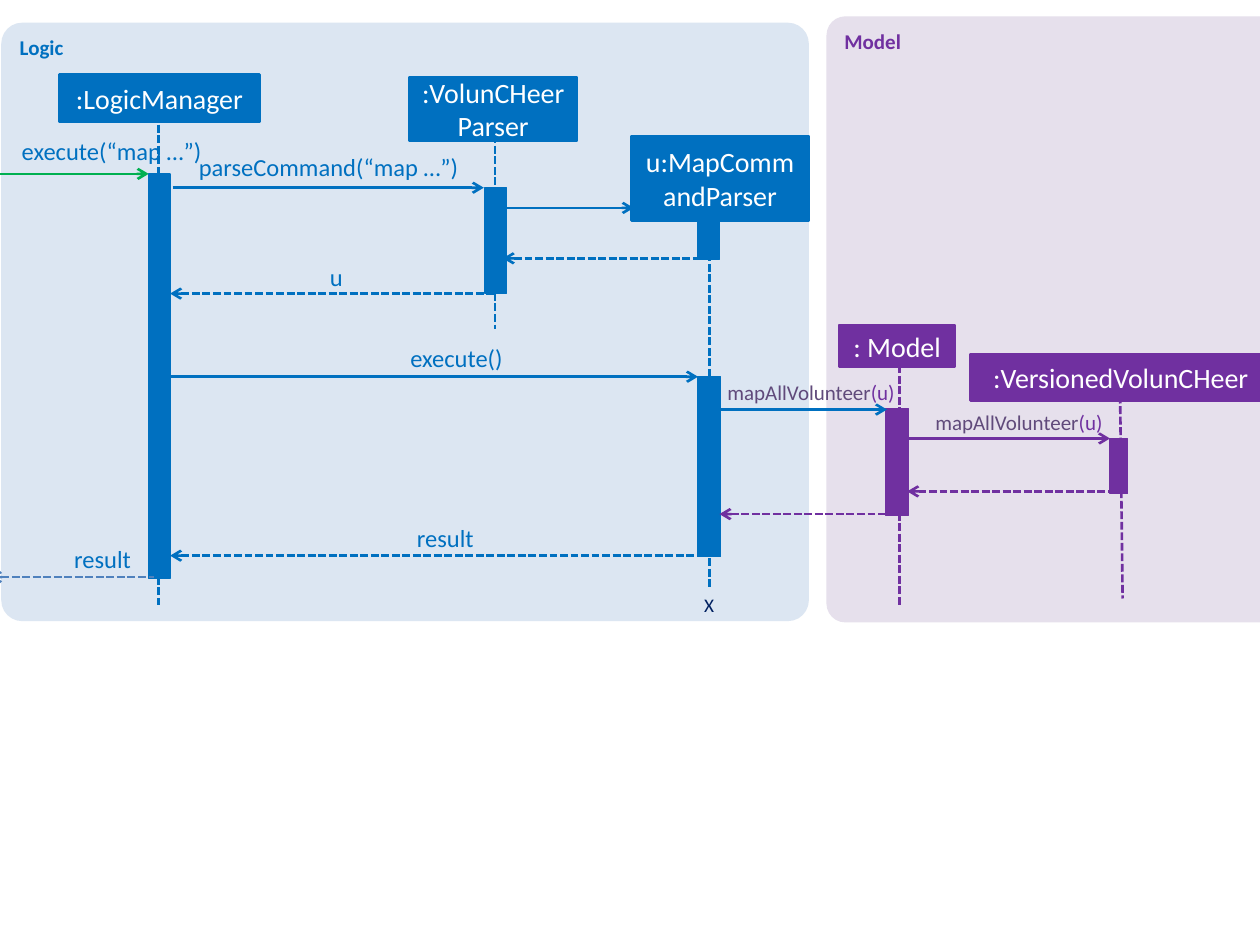
from lxml import etree
from pptx import Presentation
from pptx.dml.color import RGBColor
from pptx.enum.dml import MSO_LINE
from pptx.enum.shapes import MSO_CONNECTOR, MSO_SHAPE
from pptx.enum.text import MSO_ANCHOR, MSO_AUTO_SIZE, PP_ALIGN
from pptx.oxml.ns import qn
from pptx.util import Inches, Pt

RECT, ROUNDED = MSO_SHAPE.RECTANGLE, MSO_SHAPE.ROUNDED_RECTANGLE
STRAIGHT, DASHED = MSO_CONNECTOR.STRAIGHT, MSO_LINE.SQUARE_DOT
LEFT, CENTER, RIGHT = PP_ALIGN.LEFT, PP_ALIGN.CENTER, PP_ALIGN.RIGHT
TOP, MIDDLE = MSO_ANCHOR.TOP, MSO_ANCHOR.MIDDLE
FIT = MSO_AUTO_SIZE.SHAPE_TO_FIT_TEXT

COLORS = {
    "logic": "0070C0", "logic_panel": "DCE6F2",
    "model": "7030A0", "model_panel": "E6E0EC",
    "caller": "00B050", "outgoing": "4F81BD",
    "call_name": "604A7B", "end_mark": "002060", "white": "FFFFFF",
}
FORMATS = {
    "panel": {"word_wrap": True, "vertical_anchor": TOP},
    "head": {"word_wrap": True, "vertical_anchor": MIDDLE},
    "label": {"word_wrap": True, "vertical_anchor": TOP, "auto_size": FIT,
              "margin_left": 0, "margin_right": 0, "margin_top": 0, "margin_bottom": 0},
    "end_mark": {"word_wrap": False, "auto_size": FIT},
}


class SequenceDiagram:
    font = "Calibri"
    columns = 100

    def __init__(self, deck):
        self.slide = deck.slides.add_slide(deck.slide_layouts[6])
        self.cell = deck.slide_width / self.columns

    def grid(self, *lengths):
        return [round(length * self.cell) for length in lengths]

    def color(self, name):
        return RGBColor.from_string(COLORS[name])

    def set_text(self, shape, runs, size, align, style, bold=False):
        frame = shape.text_frame
        for name, value in FORMATS[style].items():
            setattr(frame, name, value)
        paragraph = frame.paragraphs[0]
        paragraph.alignment = align
        for text, color in runs:
            run = paragraph.add_run()
            run.text = text
            font = {"name": self.font, "size": Pt(size), "bold": bold}
            for name, value in font.items():
                setattr(run.font, name, value)
            run.font.color.rgb = self.color(color)

    def block(self, kind, area, fill, outline=0):
        shape = self.slide.shapes.add_shape(kind, *self.grid(*area))
        shape.shadow.inherit = False
        shape.fill.solid()
        shape.fill.fore_color.rgb = self.color(fill)
        if outline:
            shape.line.color.rgb = self.color(fill)
            shape.line.width = Pt(outline)
        else:
            shape.line.fill.background()
        return shape

    def panel(self, title, side, area):
        shape = self.block(ROUNDED, area, side + "_panel")
        shape.adjustments[0] = 0.035
        self.set_text(shape, [(title, side)], 12, LEFT, "panel", bold=True)

    def head(self, name, side, area):
        shape = self.block(RECT, area, side, 1.5)
        self.set_text(shape, [(name, "white")], 16, CENTER, "head")

    def activation(self, side, area):
        self.block(RECT, area, side, 0.75)

    def line(self, start, end, color, dashed=False, arrow=None):
        connector = self.slide.shapes.add_connector(STRAIGHT, *self.grid(*start, *end))
        connector.line.color.rgb = self.color(color)
        connector.line.width = Pt(1.5)
        if dashed:
            connector.line.dash_style = DASHED
        properties = connector._element.spPr
        if arrow:
            etree.SubElement(properties.find(qn("a:ln")), qn(arrow), type="arrow")
        etree.SubElement(properties, qn("a:effectLst"))

    def lifeline(self, top, bottom, side):
        self.line(top, bottom, side, dashed=True)

    def call(self, row, left, right, color):
        self.line((left, row), (right, row), color, arrow="a:tailEnd")

    def reply(self, row, left, right, color):
        self.line((left, row), (right, row), color, dashed=True, arrow="a:headEnd")

    def label(self, runs, left, top, width, size=14):
        box = self.slide.shapes.add_textbox(*self.grid(left, top, width, size / 6))
        self.set_text(box, runs, size, RIGHT, "label")

    def end_mark(self, text, area):
        box = self.slide.shapes.add_textbox(*self.grid(*area))
        self.set_text(box, [(text, "end_mark")], 11, LEFT, "end_mark")


deck = Presentation()
deck.slide_width, deck.slide_height = Inches(10), Inches(7.5)
diagram = SequenceDiagram(deck)

diagram.panel("Model", "model", (65.6, 1.3, 42.7, 48.1))
diagram.panel("Logic", "logic", (0.1, 1.8, 64.1, 47.5))

for top, bottom, side in [
    ((12.6, 9.9), (12.6, 48), "logic"),
    ((39.3, 9.9), (39.3, 26.1), "logic"),
    ((56.3, 17.6), (56.3, 46.6), "logic"),
    ((71.4, 29), (71.4, 48), "model"),
    ((88.9, 31.4), (89.1, 47.5), "model"),
]:
    diagram.lifeline(top, bottom, side)

for side, area in [
    ("logic", (11.8, 13.8, 1.7, 32.1)),
    ("logic", (38.5, 14.9, 1.7, 8.4)),
    ("logic", (55.4, 17.6, 1.7, 3)),
    ("logic", (55.4, 29.9, 1.8, 14.3)),
    ("model", (70.3, 32.4, 1.8, 8.5)),
    ("model", (88.1, 34.8, 1.4, 4.4)),
]:
    diagram.activation(side, area)

for row, left, right, color in [
    (13.8, -0.4, 11.8, "caller"),
    (14.9, 13.7, 38.4, "logic"),
    (16.5, 40.2, 50.3, "logic"),
    (29.9, 13.5, 55.4, "logic"),
    (32.5, 57.2, 70.4, "logic"),
    (34.8, 72, 88.1, "model"),
]:
    diagram.call(row, left, right, color)

for row, left, right, color in [
    (20.5, 39.9, 56.3, "logic"),
    (23.3, 13.5, 39.2, "logic"),
    (39, 72, 88.1, "model"),
    (40.8, 57.1, 71.2, "model"),
    (44.1, 13.5, 55.4, "logic"),
    (45.8, -0.8, 12.2, "outgoing"),
]:
    diagram.reply(row, left, right, color)

for text, left, top, width in [
    ("execute(“map …”)", 0.4, 10.8, 15.6),
    ("parseCommand(“map …”)", 15.6, 12.1, 20.8),
    ("u", 24.8, 20.8, 2.4),
    ("execute()", 30.5, 27.2, 9.4),
    ("result", 30.8, 41.5, 6.8),
    ("result", 2.1, 43.2, 8.3),
]:
    diagram.label([(text, "logic")], left, top, width)

map_all = [("mapAllVolunteer", "call_name"), ("(u)", "model")]
for left, top, width in [(56.8, 30.1, 14.2), (73.5, 32.5, 14)]:
    diagram.label(map_all, left, top, width, size=12)

for name, side, area in [
    (":LogicManager", "logic", (4.7, 5.9, 15.9, 3.8)),
    (":VolunCHeerParser", "logic", (32.5, 6.1, 13.3, 5.1)),
    ("u:MapCommandParser", "logic", (50.1, 10.8, 14.1, 6.7)),
    (": Model", "model", (66.6, 25.8, 9.2, 3.3)),
    (":VersionedVolunCHeer", "model", (77, 28.1, 23.9, 3.7)),
]:
    diagram.head(name, side, area)

diagram.end_mark("X", (54.9, 46.6, 2.8, 2.9))

deck.save("out.pptx")
